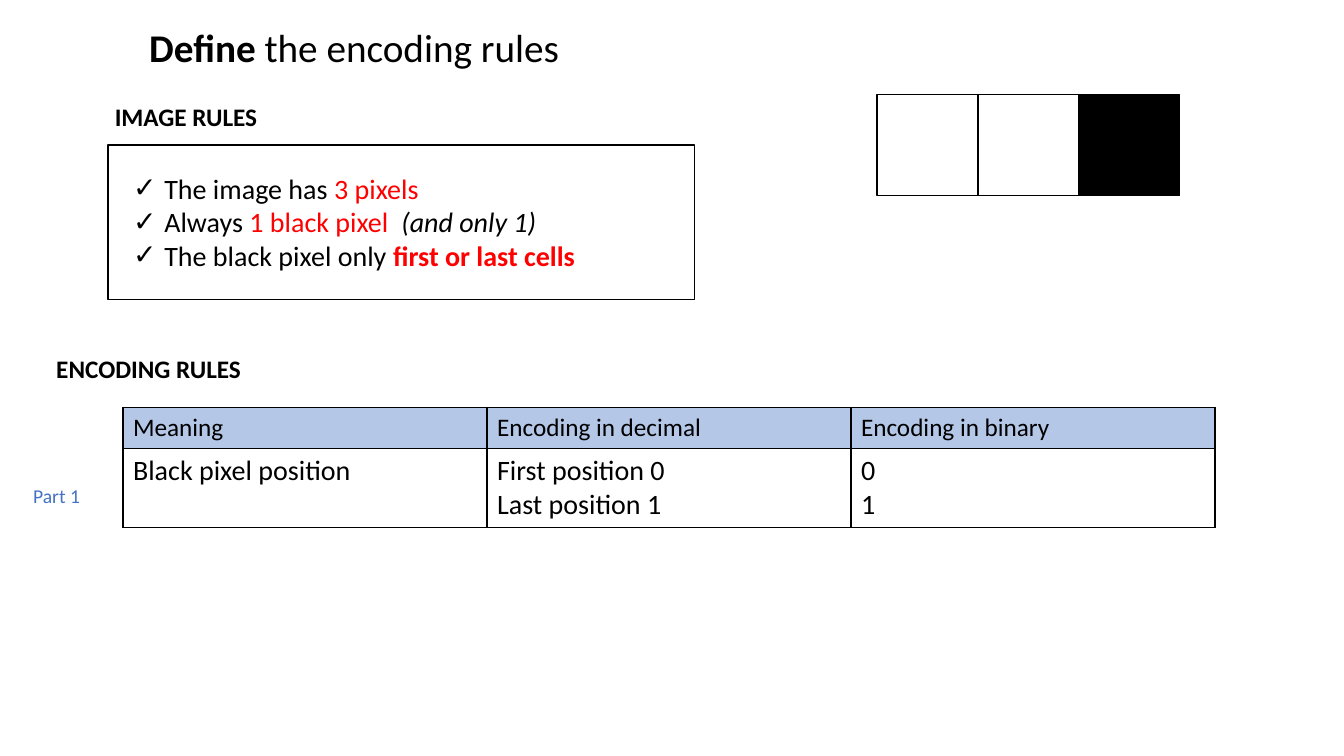
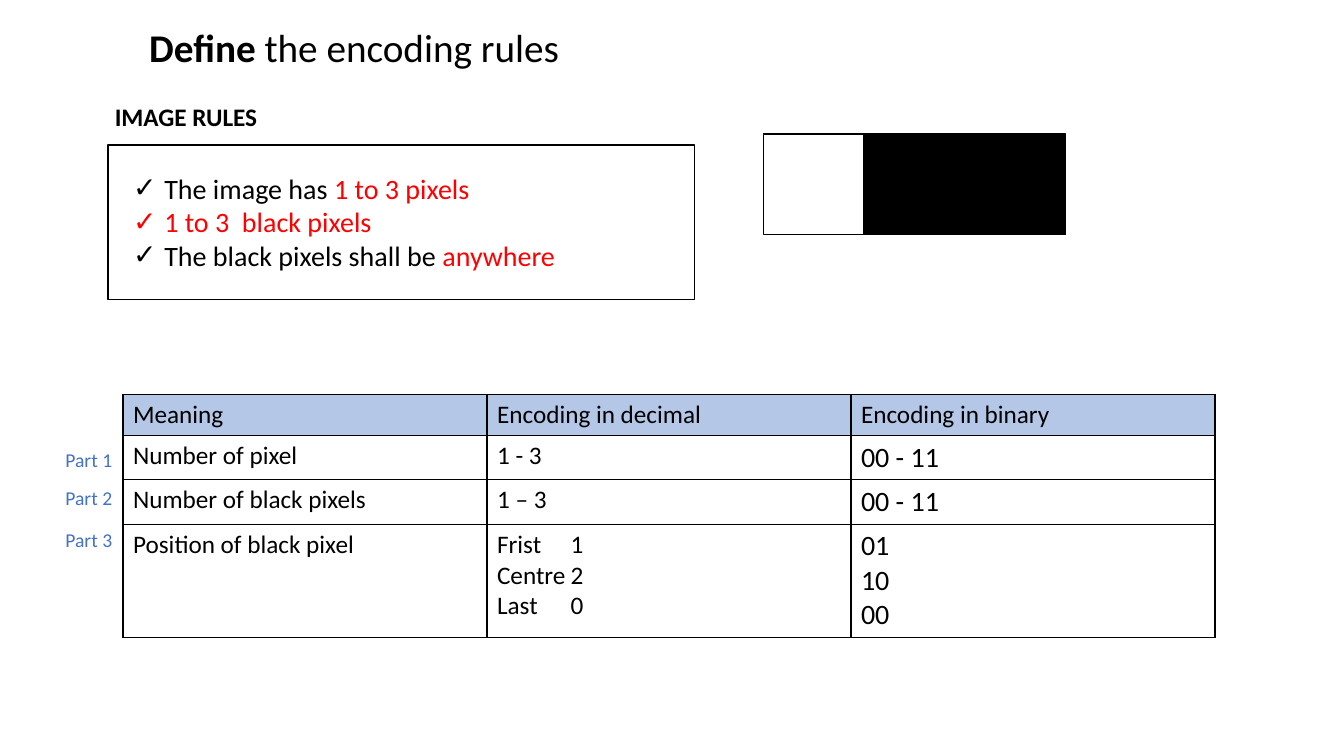
from lxml import etree
from pptx import Presentation
from pptx import util as u
from pptx.dml.color import RGBColor
from pptx.enum import shapes, text
from pptx.oxml.ns import qn

BLACK, WHITE, RED, BLUE, HEADER = "000000", "FFFFFF", "FF0000", "4472C4", "B4C7E7"
FONT = "Calibri"
TITLE_AND_CONTENT = 1
COLUMNS = ["Meaning", "Encoding in decimal", "Encoding in binary"]


def color(hex_code):
    return RGBColor.from_string(hex_code)


def style_font(font, size, hex_code=BLACK, bold=False):
    font.name, font.size, font.bold = FONT, u.Pt(size), bold
    font.color.rgb = color(hex_code)


class Deck:
    """Holds the presentation, its style and the current slide."""

    def __init__(self):
        self.prs = Presentation()
        self.prs.slide_width, self.prs.slide_height = u.Inches(13.33), u.Inches(7.5)
        self.slide = None

    def new_slide(self):
        layout = self.prs.slide_layouts[TITLE_AND_CONTENT]
        self.slide = self.prs.slides.add_slide(layout)

    def place(self, holder, left, top, width, height):
        holder.left, holder.top = u.Inches(left), u.Inches(top)
        holder.width, holder.height = u.Inches(width), u.Inches(height)
        frame = holder.text_frame
        frame.auto_size, frame.word_wrap = text.MSO_AUTO_SIZE.NONE, True
        return frame

    def title(self, strong, rest):
        frame = self.place(self.slide.shapes.title, 1.38, 0.18, 4.5, 0.57)
        frame.vertical_anchor = text.MSO_ANCHOR.MIDDLE
        heading = frame.paragraphs[0]
        heading.alignment = text.PP_ALIGN.LEFT
        style_font(heading.font, 28)
        for words, bold in ((strong, True), (rest, False)):
            run = heading.add_run()
            run.text, run.font.bold = words, bold

    def checklist(self, rules):
        """Each rule is a list of (words, overrides) pairs."""
        frame = self.place(self.slide.placeholders[1], 1.22, 1.65, 5.5, 1.11)
        frame.vertical_anchor = text.MSO_ANCHOR.TOP
        for i, rule in enumerate(rules):
            item = frame.paragraphs[0] if i == 0 else frame.add_paragraph()
            item.space_before = u.Pt(0)
            props = item._p.get_or_add_pPr()
            props.set("marL", str(u.Inches(0.31)))
            props.set("indent", str(-u.Inches(0.31)))
            etree.SubElement(props, qn("a:buFont")).set("typeface", FONT)
            etree.SubElement(props, qn("a:buChar")).set("char", "✓")
            style_font(item.font, 20)
            for words, look in rule:
                run = item.add_run()
                run.text = words
                if "color" in look:
                    run.font.color.rgb = color(look["color"])
                if "bold" in look:
                    run.font.bold = look["bold"]
                if "italic" in look:
                    run.font.italic = look["italic"]

    def label(self, words, left, top, width=2.2, size=18, hex_code=BLACK, bold=True):
        box = self.slide.shapes.add_textbox(0, 0, 0, 0)
        line = self.place(box, left, top, width, 0.4).paragraphs[0]
        line.text = words
        style_font(line.font, size, hex_code, bold)

    def row_label(self, number, left, top):
        self.label(f"Part {number}", left, top, 0.8, 14, BLUE, False)

    def rectangle(self, left, top, width, height, fill=None):
        rect = self.slide.shapes.add_shape(
            shapes.MSO_SHAPE.RECTANGLE, u.Inches(left), u.Inches(top),
            u.Inches(width), u.Inches(height))
        rect.shadow.inherit = False
        rect.line.color.rgb, rect.line.width = color(BLACK), u.Pt(1)
        if fill:
            rect.fill.solid()
            rect.fill.fore_color.rgb = color(fill)
        else:
            rect.fill.background()

    def pixels(self, left, top, fills):
        for i, fill in enumerate(fills):
            self.rectangle(left + i, top, 1, 1, fill)

    def table(self, top, rows, heights, sizes):
        """Adds the header row; sizes gives the body text size by column."""
        grid = self.slide.shapes.add_table(
            len(rows) + 1, len(COLUMNS), u.Inches(1.22), u.Inches(top),
            u.Inches(10.83), u.Inches(sum(heights))).table
        grid.first_row = grid.horz_banding = False
        for column in grid.columns:
            column.width = u.Inches(3.61)
        for r, (row, height) in enumerate(zip([COLUMNS] + rows, heights)):
            grid.rows[r].height = u.Inches(height)
            for c, words in enumerate(row):
                self.cell(grid.cell(r, c), words, sizes[c] if r else 18, r == 0)

    def cell(self, cell, words, size, is_header):
        props = cell._tc.get_or_add_tcPr()
        for side in ("lnL", "lnR", "lnT", "lnB"):
            border = etree.SubElement(props, qn(f"a:{side}"), w=str(u.Pt(1)))
            fill = etree.SubElement(border, qn("a:solidFill"))
            etree.SubElement(fill, qn("a:srgbClr")).set("val", BLACK)
        if is_header:
            cell.fill.solid()
            cell.fill.fore_color.rgb = color(HEADER)
        else:
            cell.fill.background()
        cell.text_frame.text = words
        for line in cell.text_frame.paragraphs:
            if "\t" in line.text:
                tabs = etree.SubElement(line._p.get_or_add_pPr(), qn("a:tabLst"))
                etree.SubElement(tabs, qn("a:tab"), pos=str(u.Inches(0.73)), algn="l")
            style_font(line.font, size)

    def rules_slide(self, rules):
        """Starts a slide with the title and the framed image rules."""
        self.new_slide()
        self.title("Define", " the encoding rules")
        self.checklist(rules)
        self.label("IMAGE RULES", 1.04, 0.96)
        self.rectangle(1.07, 1.44, 5.82, 1.53)


def main():
    deck = Deck()
    red = {"color": RED}

    # One black pixel at either end
    deck.rules_slide([
        [("The image has ", {}), ("3 pixels", red)],
        [("Always ", {}), ("1 black pixel  ", red), ("(and only 1)", {"italic": True})],
        [("The black pixel only ", {}),
         ("first or last cells", {"color": RED, "bold": True})],
    ])
    deck.pixels(8.7, 0.94, [WHITE, WHITE, BLACK])
    deck.label("ENCODING RULES", 0.46, 3.46)
    deck.table(4.04, [["Black pixel position", "First position 0\nLast position 1", "0\n1"]],
               [0.41, 0.77], [20, 20, 20])
    deck.row_label(1, 0.23, 4.75)

    # One to three black pixels anywhere
    deck.rules_slide([
        [("The image has ", {}), ("1 to 3 pixels", red)],
        [("1 to 3  black pixels", red)],
        [("The black pixels shall be ", {}), ("anywhere", red)],
    ])
    deck.pixels(7.57, 1.33, [WHITE, BLACK, BLACK])
    deck.table(3.91, [
        ["Number of pixel", "1 - 3", "00 - 11"],
        ["Number of black pixels", "1 – 3", "00 - 11"],
        ["Position of black pixel", "Frist\t1\nCentre\t2\nLast\t0", "01\n10\n00"],
    ], [0.41, 0.44, 0.44, 1.12], [18, 18, 20])
    for number, top in enumerate((4.39, 4.77, 5.19), start=1):
        deck.row_label(number, 0.55, top)

    deck.prs.save("out.pptx")


if __name__ == "__main__":
    main()
